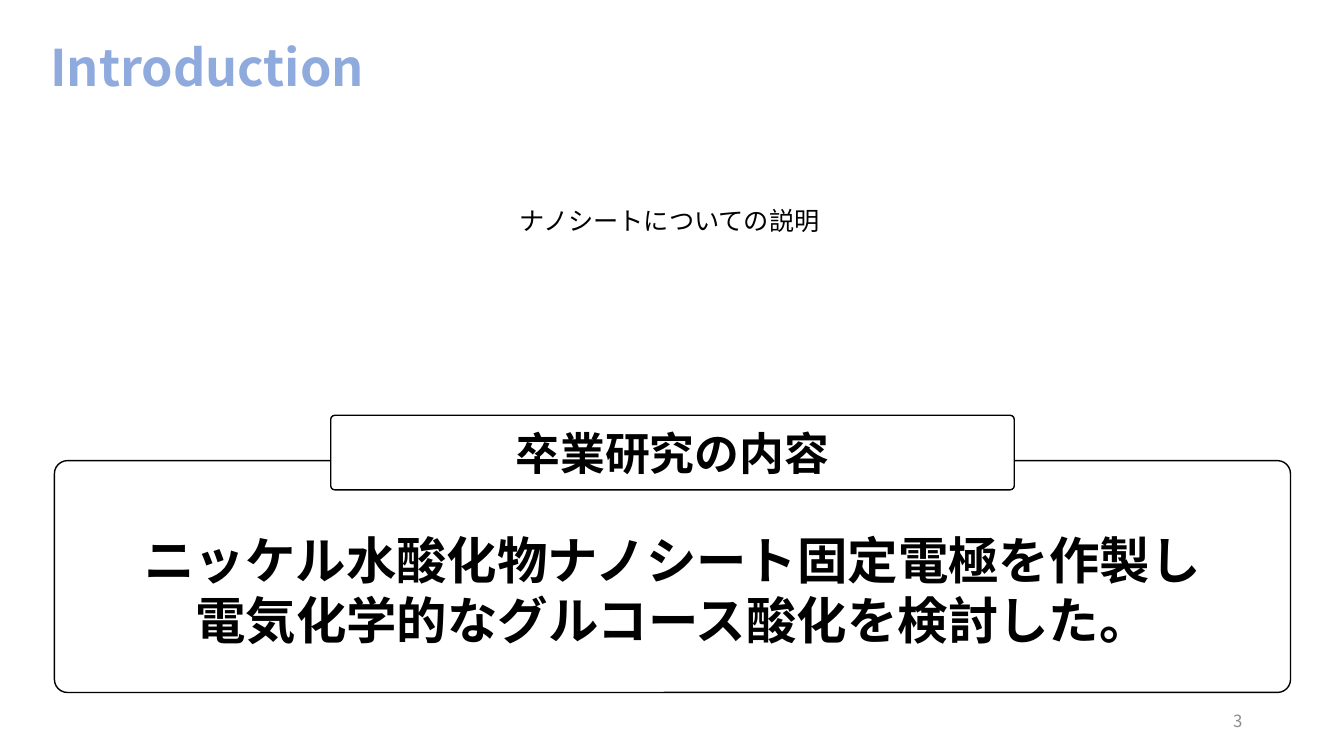
from lxml.etree import SubElement
from pptx import Presentation
from pptx.dml.color import RGBColor
from pptx.enum.shapes import MSO_SHAPE
from pptx.enum.text import MSO_ANCHOR, PP_ALIGN
from pptx.oxml.ns import qn
from pptx.util import Inches, Pt

FONT = "Noto Sans CJK JP"
COLORS = {"title": "8FAADC", "text": "000000", "number": "8C8C8C",
          "line": "000000", "label": "FFFFFF"}


def write(shape, lines, size, color="text", bold=False, align=PP_ALIGN.LEFT,
          anchor=MSO_ANCHOR.MIDDLE, wrap=True, spacing=None):
    """Fill a shape with one paragraph per line in a shared style."""
    frame = shape.text_frame
    frame.word_wrap = wrap
    frame.vertical_anchor = anchor
    frame.text = "\n".join(lines)
    for paragraph in frame.paragraphs:
        paragraph.alignment = align
        paragraph.line_spacing = spacing
        font = paragraph.font
        font.size, font.bold = Pt(size), bold
        font.color.rgb = RGBColor.from_string(COLORS[color])
        font.name = FONT
        properties = paragraph._p.pPr.find(qn("a:defRPr"))
        SubElement(properties, qn("a:ea")).set("typeface", FONT)


def add_text(slide, box, lines, size, **style):
    """Add a text box at box (left, top, width, height in inches)."""
    write(slide.shapes.add_textbox(*map(Inches, box)), lines, size, **style)


def add_frame(slide, box, fill=None):
    """Add a thinly outlined rounded rectangle and return it."""
    shape = slide.shapes.add_shape(MSO_SHAPE.ROUNDED_RECTANGLE, *map(Inches, box))
    shape.adjustments[0] = 0.056
    shape.shadow.inherit = False
    shape.line.color.rgb = RGBColor.from_string(COLORS["line"])
    shape.line.width = Pt(1)
    if fill:
        shape.fill.solid()
        shape.fill.fore_color.rgb = RGBColor.from_string(COLORS[fill])
    else:
        shape.fill.background()
    return shape


def add_summary(slide, box, heading, lines):
    """Draw a framed statement with a centred heading label on its top edge."""
    left, top, width, height = box
    add_text(slide, (left + 0.13, top + 0.63, width - 0.26, 1.16), lines, 36,
             bold=True, align=PP_ALIGN.CENTER, anchor=MSO_ANCHOR.TOP)
    add_frame(slide, box)
    label_width = 6.78
    label_box = (left + (width - label_width) / 2, top - 0.45, label_width, 0.74)
    write(add_frame(slide, label_box, "label"), [heading], 32,
          bold=True, align=PP_ALIGN.CENTER)


def build_introduction(slide, box):
    """Lay out the introduction slide inside box."""
    left, top, width, height = box
    add_text(slide, (left + 0.4, top + 0.35, 4.47, 0.7), ["Introduction"], 36,
             color="title", bold=True, spacing=0.9)
    add_text(slide, (left + width - 3.91, top + height - 0.55, 3, 0.4), ["3"], 12,
             color="number", align=PP_ALIGN.RIGHT)
    add_summary(slide, (left + 0.54, top + 4.57, 12.26, 2.3), "卒業研究の内容",
                ["ニッケル水酸化物ナノシート固定電極を作製し",
                 "電気化学的なグルコース酸化を検討した。"])
    add_text(slide, (left + 5.05, top + 1.99, 3.23, 0.4),
             ["ナノシートについての説明"], 18, anchor=MSO_ANCHOR.TOP, wrap=False)


presentation = Presentation()
presentation.slide_width, presentation.slide_height = Inches(13.33), Inches(7.5)
introduction = presentation.slides.add_slide(presentation.slide_layouts[6])
build_introduction(introduction, (0, 0, 13.33, 7.5))
presentation.save("out.pptx")
